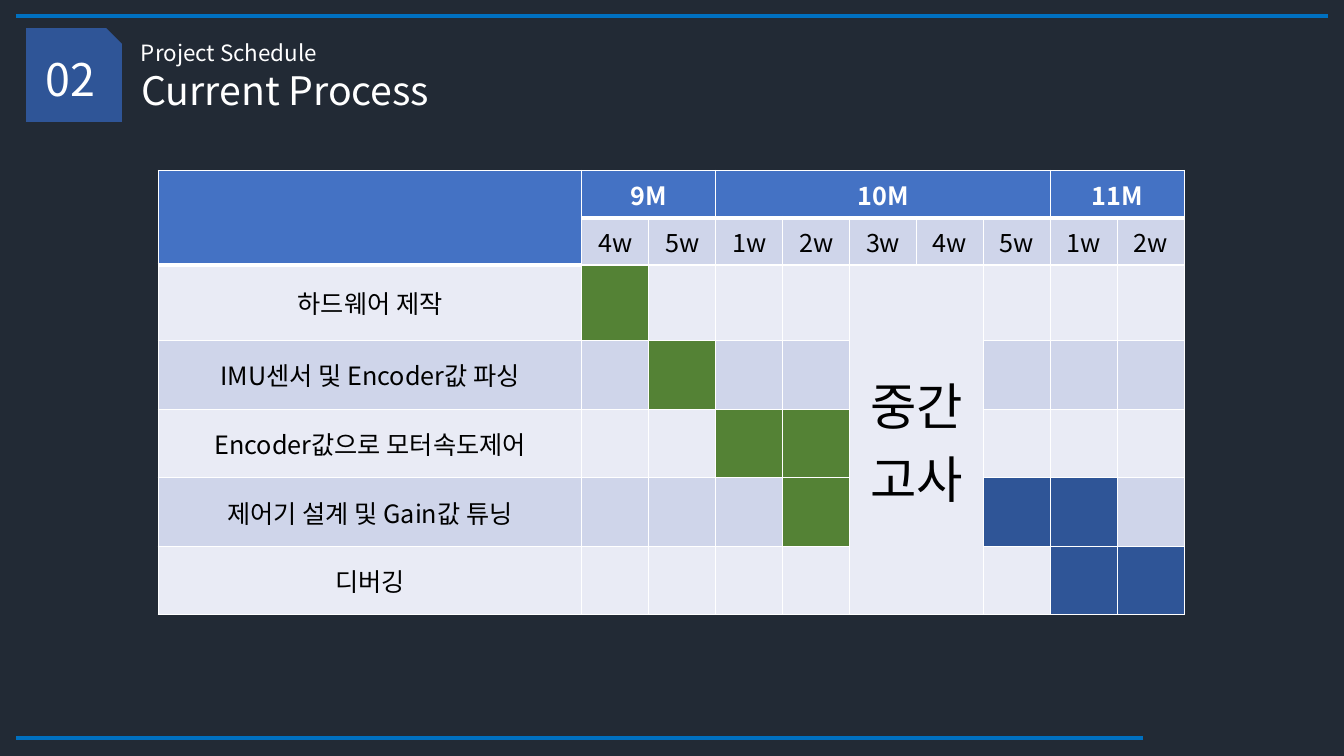
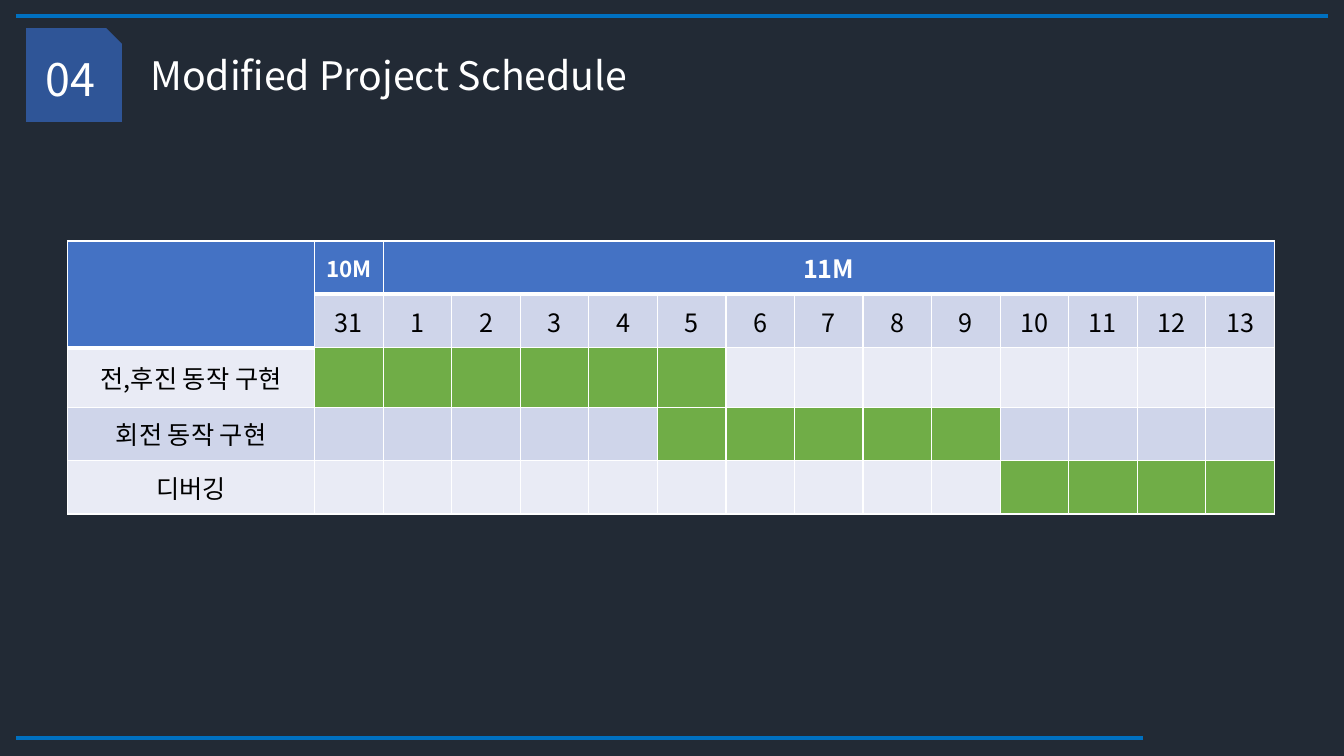
from lxml import etree
from pptx import Presentation
from pptx.dml.color import RGBColor
from pptx.enum.shapes import MSO_CONNECTOR, MSO_SHAPE
from pptx.enum.text import MSO_ANCHOR, MSO_AUTO_SIZE, PP_ALIGN
from pptx.oxml.ns import qn
from pptx.util import Inches, Pt

LINE, SNIP = MSO_CONNECTOR.STRAIGHT, MSO_SHAPE.SNIP_1_RECTANGLE
LEFT, CENTER = PP_ALIGN.LEFT, PP_ALIGN.CENTER
TOP, MIDDLE = MSO_ANCHOR.TOP, MSO_ANCHOR.MIDDLE
NO_FIT = MSO_AUTO_SIZE.NONE

FONT = "Noto Sans CJK KR"
COLORS = {
    "background": "222A35", "rule": "0070C0", "badge": "2F5597",
    "header": "4472C4", "band_dark": "CFD5EA", "band_light": "E9EBF5",
    "done": "548235", "planned": "2F5597", "modified": "70AD47",
    "white": "FFFFFF", "black": "000000",
}
RULES = [(0.16, 13.17, 0.16), (0.16, 11.34, 7.32)]  # left, right, y

# months: (label, columns, size); tasks: (label, row height, bars);
# bars: (first column, last column, colour), with column 0 holding the labels
SLIDES = [
    {
        "number": "02",
        "title": ("Current Process", 1.3, 0.61),
        "subtitle": ("Project Schedule", 1.3, 0.34),
        "box": (1.57, 1.69, 10.18), "label_width": 4.2, "header_height": 0.47,
        "months": [("9M", 2, 18), ("10M", 5, 18), ("11M", 2, 18)],
        "periods": ["4w", "5w", "1w", "2w", "3w", "4w", "5w", "1w", "2w"],
        "tasks": [
            ("하드웨어 제작", 0.75, [(1, 1, "done")]),
            ("IMU센서 및 Encoder값 파싱", 0.68, [(2, 2, "done")]),
            ("Encoder값으로 모터속도제어", 0.68, [(3, 4, "done")]),
            ("제어기 설계 및 Gain값 튜닝", 0.68, [(4, 4, "done"), (7, 8, "planned")]),
            ("디버깅", 0.68, [(8, 9, "planned")]),
        ],
        "pause": ("중간고사", 5, 6),
    },
    {
        "number": "04",
        "title": ("Modified Project Schedule", 1.39, 0.46),
        "box": (0.67, 2.39, 11.97), "label_width": 2.45, "header_height": 0.53,
        "months": [("10M", 1, 16), ("11M", 13, 18)],
        "periods": ["31"] + [str(day) for day in range(1, 14)],
        "tasks": [
            ("전,후진 동작 구현", 0.59, [(1, 6, "modified")]),
            ("회전 동작 구현", 0.53, [(6, 10, "modified")]),
            ("디버깅", 0.53, [(11, 14, "modified")]),
        ],
    },
]


def rgb(name):
    return RGBColor.from_string(COLORS[name])


def write(tf, text, size, color="white", align=LEFT, bold=False):
    p = tf.paragraphs[0]
    p.alignment = align
    r = p.add_run()
    r.text = text
    for name, value in {"name": FONT, "size": Pt(size), "bold": bold}.items():
        setattr(r.font, name, value)
    r.font.color.rgb = rgb(color)
    etree.SubElement(r._r.get_or_add_rPr(), qn("a:ea"), typeface=FONT)


def place_heading(sp, text, left, top, height, size):
    sp.left, sp.top, sp.width, sp.height = map(Inches, (left, top, 8.9, height))
    tf = sp.text_frame
    frame = {"word_wrap": True, "auto_size": NO_FIT, "vertical_anchor": TOP}
    for name, value in frame.items():
        setattr(tf, name, value)
    write(tf, text, size)


def add_rule(slide, left, right, y):
    line = slide.shapes.add_connector(LINE, *map(Inches, (left, y, right, y)))
    line.line.color.rgb = rgb("rule")
    line.line.width = Pt(3)
    etree.SubElement(line._element.spPr, qn("a:effectLst"))


def add_badge(slide, number):
    sp = slide.shapes.add_shape(SNIP, *map(Inches, (0.26, 0.28, 0.95, 0.93)))
    sp.shadow.inherit = False
    sp.fill.solid()
    sp.fill.fore_color.rgb = rgb("badge")
    sp.line.fill.background()
    sp.text_frame.vertical_anchor = MIDDLE
    write(sp.text_frame, number, 32, align=CENTER)


def format_cell(cell, fill, top, bottom):
    """Draw white borders, given the top and bottom widths in points, and fill."""
    tc_pr = cell._tc.get_or_add_tcPr()
    for side, width in {"L": 1, "R": 1, "T": top, "B": bottom}.items():
        ln = etree.SubElement(tc_pr, qn(f"a:ln{side}"), w=str(Pt(width)))
        solid = etree.SubElement(ln, qn("a:solidFill"))
        etree.SubElement(solid, qn("a:srgbClr"), val=COLORS["white"])
    cell.fill.solid()
    cell.fill.fore_color.rgb = rgb(fill)
    cell.vertical_anchor = MIDDLE


def cell_fill(row, col, tasks):
    if row == 0 or (row == 1 and col == 0):
        return "header"
    if row > 1:
        for first, last, color in tasks[row - 2][2]:
            if first <= col <= last:
                return color
    return "band_dark" if row % 2 else "band_light"


def add_schedule(slide, data):
    tasks, periods = data["tasks"], data["periods"]
    left, top, width = data["box"]
    heights = [data["header_height"]] * 2 + [task[1] for task in tasks]
    period_width = (width - data["label_width"]) / len(periods)
    widths = [data["label_width"]] + [period_width] * len(periods)
    table = slide.shapes.add_table(
        len(heights), len(widths),
        *map(Inches, (left, top, width, sum(heights)))).table
    table.first_row = table.horz_banding = False
    for column, value in zip(table.columns, widths):
        column.width = Inches(value)
    for row, value in zip(table.rows, heights):
        row.height = Inches(value)

    for row in range(len(heights)):
        for col in range(len(widths)):
            header_end = 0 if col else 1
            format_cell(table.cell(row, col), cell_fill(row, col, tasks),
                        top=3 if row == header_end + 1 else 1,
                        bottom=3 if row in (0, header_end) else 1)

    table.cell(0, 0).merge(table.cell(1, 0))
    col = 1
    for label, span, size in data["months"]:
        cell = table.cell(0, col)
        if span > 1:
            cell.merge(table.cell(0, col + span - 1))
        write(cell.text_frame, label, size, align=CENTER, bold=True)
        col += span
    labels = [(1, col, text) for col, text in enumerate(periods, 1)]
    labels += [(row, 0, task[0]) for row, task in enumerate(tasks, 2)]
    for row, col, text in labels:
        write(table.cell(row, col).text_frame, text, 18, "black", CENTER)

    if "pause" in data:
        text, first, last = data["pause"]
        cell = table.cell(2, first)
        cell.merge(table.cell(len(heights) - 1, last))
        cell._tc.get_or_add_tcPr().set("vert", "eaVert")
        write(cell.text_frame, text, 36, "black", CENTER)


def add_slide(prs, data):
    slide = prs.slides.add_slide(prs.slide_layouts[5])
    place_heading(slide.shapes.title, *data["title"], height=0.57, size=28)
    if "subtitle" in data:
        sp = slide.shapes.add_textbox(0, 0, 0, 0)
        place_heading(sp, *data["subtitle"], height=0.37, size=16)
    add_badge(slide, data["number"])
    for rule in RULES:
        add_rule(slide, *rule)
    add_schedule(slide, data)


def main():
    prs = Presentation()
    prs.slide_width, prs.slide_height = Inches(13.33), Inches(7.5)
    background = prs.slide_master.background.fill
    background.solid()
    background.fore_color.rgb = rgb("background")
    for data in SLIDES:
        add_slide(prs, data)
    prs.save("out.pptx")


if __name__ == "__main__":
    main()
